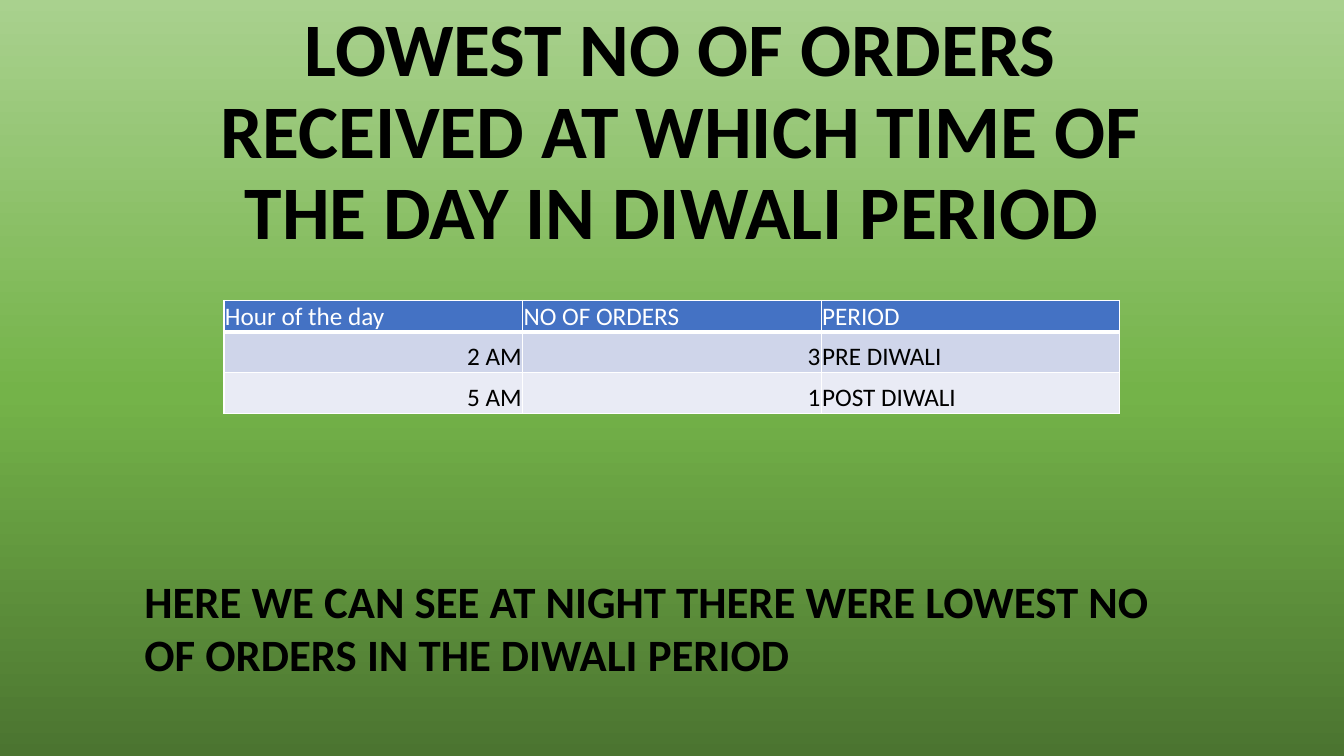
"""Build the slide on the lowest number of orders in the Diwali period."""
from copy import deepcopy
from dataclasses import dataclass

from lxml.etree import SubElement
from pptx import Presentation
from pptx.dml.color import RGBColor
from pptx.enum.text import MSO_ANCHOR as Anchor, PP_ALIGN as Align
from pptx.oxml.ns import qn
from pptx.util import Pt

COLORS = {
    "black": "000000", "white": "FFFFFF",
    "header": "4472C4", "band": "CFD5EA", "light": "E9EBF5",
    "dark_green": "4B7430", "green": "74B349", "pale_green": "A9D18E",
}
GRADIENT = [(0, "dark_green"), (0.48, "green"), (1, "pale_green")]
THIN, THICK = 1, 3
COLUMN_WIDTH = 213.33


@dataclass
class TextBlock:
    text: str
    left: float
    top: float
    width: float
    height: float
    size: float
    align: Align = Align.LEFT
    anchor: Anchor = Anchor.TOP
    line_spacing: float = 1.0


@dataclass
class OrderRow:
    values: tuple[str, str, str]
    height: float
    fill: str
    color: str = "black"
    aligns: tuple[Align, Align, Align] = (Align.RIGHT, Align.RIGHT, Align.LEFT)
    top_border: float = THIN
    bottom_border: float = THIN


BLOCKS = [
    TextBlock("LOWEST NO OF ORDERS RECEIVED AT WHICH TIME OF THE DAY IN DIWALI PERIOD ",
              126, 90.72, 720, 95.76, 54, Align.CENTER, Anchor.BOTTOM, 0.9),
    TextBlock("HERE WE CAN SEE AT NIGHT THERE WERE LOWEST NO OF ORDERS IN THE DIWALI PERIOD",
              96, 406, 744, 85, 32),
]
ROWS = [
    OrderRow(("Hour of the day", "NO OF ORDERS", "PERIOD"), 22, "header", "white",
             (Align.LEFT,) * 3, bottom_border=THICK),
    OrderRow(("2 AM", "3", "PRE DIWALI"), 29.2, "band", top_border=THICK),
    OrderRow(("5 AM", "1", "POST DIWALI"), 29.2, "light"),
]


def rgb(name: str) -> RGBColor:
    return RGBColor.from_string(COLORS[name])


def write_text(frame, text: str, *, size: float, color: str = "black", bold: bool = False,
               align: Align = Align.LEFT, line_spacing: float = 1.0) -> None:
    para = frame.paragraphs[0]
    para.alignment, para.line_spacing = align, line_spacing
    span = para.add_run()
    span.text = text
    span.font.name, span.font.size, span.font.bold = "Calibri", Pt(size), bold
    span.font.color.rgb = rgb(color)


def paint_background(page) -> None:
    fill = page.background.fill
    fill.gradient()
    fill.gradient_angle = 90
    stop_list = page.element.find(".//" + qn("a:gsLst"))
    stop_list.append(deepcopy(stop_list[0]))
    for stop, (position, color) in zip(fill.gradient_stops, GRADIENT):
        stop.position = position
        stop.color.rgb = rgb(color)


def add_text_block(page, block: TextBlock) -> None:
    box = page.shapes.add_textbox(Pt(block.left), Pt(block.top), Pt(block.width), Pt(block.height))
    frame = box.text_frame
    frame.word_wrap = True
    frame.vertical_anchor = block.anchor
    write_text(frame, block.text, size=block.size, bold=True,
               align=block.align, line_spacing=block.line_spacing)


def add_borders(cell, row: OrderRow) -> None:
    properties = cell._tc.get_or_add_tcPr()
    widths = {"L": THIN, "R": THIN, "T": row.top_border, "B": row.bottom_border}
    for side, width in widths.items():
        line = SubElement(properties, qn(f"a:ln{side}"), w=str(Pt(width)))
        SubElement(SubElement(line, qn("a:solidFill")), qn("a:srgbClr"), val=COLORS["white"])


def add_order_table(page, rows: list[OrderRow]) -> None:
    columns = len(rows[0].values)
    table = page.shapes.add_table(len(rows), columns, Pt(160), Pt(214.6),
                                  Pt(COLUMN_WIDTH * columns),
                                  Pt(sum(row.height for row in rows))).table
    for column in table.columns:
        column.width = Pt(COLUMN_WIDTH)
    for row_index, row in enumerate(rows):
        table.rows[row_index].height = Pt(row.height)
        for cell, value, align in zip(table.rows[row_index].cells, row.values, row.aligns):
            add_borders(cell, row)
            cell.fill.solid()
            cell.fill.fore_color.rgb = rgb(row.fill)
            cell.margin_left = cell.margin_right = cell.margin_top = Pt(0.7)
            cell.margin_bottom = Pt(0)
            cell.vertical_anchor = Anchor.BOTTOM
            write_text(cell.text_frame, value, size=18, color=row.color, align=align)


def main() -> None:
    deck = Presentation()
    deck.slide_width, deck.slide_height = Pt(960), Pt(540)
    page = deck.slides.add_slide(deck.slide_layouts[6])
    paint_background(page)
    for block in BLOCKS:
        add_text_block(page, block)
    add_order_table(page, ROWS)
    deck.save("out.pptx")


if __name__ == "__main__":
    main()
